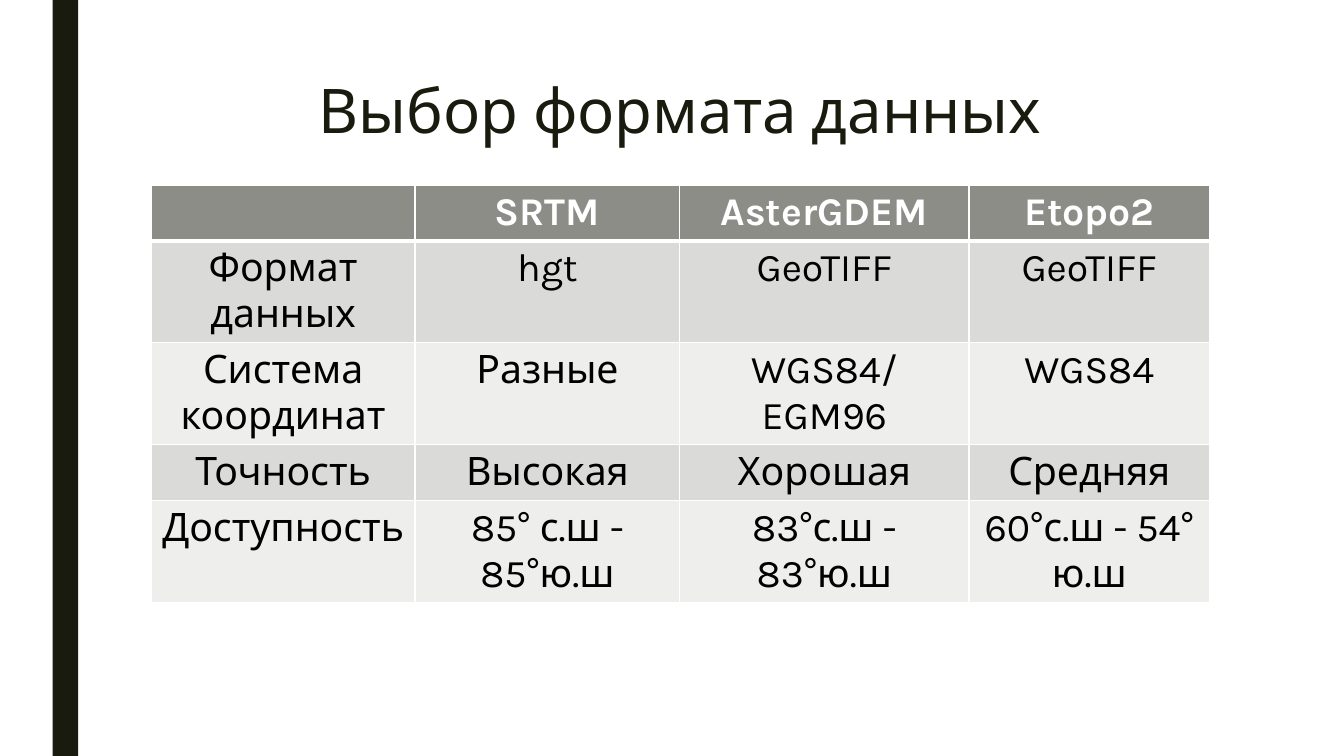
from dataclasses import dataclass

import lxml.etree
import pptx
import pptx.dml.color
import pptx.enum.shapes
import pptx.enum.text
import pptx.oxml.ns
import pptx.util
from pptx.util import Cm

FONT = "Karla"
DARK = "191B0E"
WHITE = "FFFFFF"
BLACK = "000000"
LEFT, WIDTH = Cm(3.81), Cm(26.67)
COLUMN_WIDTHS = (6.65, 6.67, 7.29, 6.06)
ONE_LINE, TWO_LINES = 1.4, 2.56


@dataclass
class FormatRow:
    texts: tuple[str, ...]
    height: float
    fill: str
    color: str = BLACK
    bold: bool = False
    bottom_border: float = 1


BAND_DARK, BAND_LIGHT = "DADBD9", "EEEEED"
FORMAT_ROWS = [
    FormatRow(("", "SRTM", "AsterGDEM", "Etopo2"), ONE_LINE, "8C8D86", WHITE, True, 3),
    FormatRow(("Формат данных", "hgt", "GeoTIFF", "GeoTIFF"), TWO_LINES, BAND_DARK),
    FormatRow(("Система координат", "Разные", "WGS84/EGM96", "WGS84"), TWO_LINES, BAND_LIGHT),
    FormatRow(("Точность", "Высокая", "Хорошая", "Средняя"), ONE_LINE, BAND_DARK),
    FormatRow(("Доступность", "85° с.ш - 85°ю.ш", "83°с.ш - 83°ю.ш", "60°с.ш - 54° ю.ш"),
              TWO_LINES, BAND_LIGHT),
]


def rgb(color: str) -> pptx.dml.color.RGBColor:
    return pptx.dml.color.RGBColor.from_string(color)


def format_text(paragraph, size: float, color: str, bold: bool = False) -> None:
    paragraph.alignment = pptx.enum.text.PP_ALIGN.CENTER
    font = paragraph.font
    for part in (font, *(run.font for run in paragraph.runs)):
        part.name = FONT
        part.size = pptx.util.Pt(size)
        part.bold = bold
        part.color.rgb = rgb(color)


def add_borders(cell, top: float, bottom: float) -> None:
    """Draw white cell borders; widths are in points."""
    properties = cell._tc.get_or_add_tcPr()
    qn = pptx.oxml.ns.qn
    widths = {"lnL": 1, "lnR": 1, "lnT": top, "lnB": bottom}
    for position, (side, width) in enumerate(widths.items()):
        line = lxml.etree.Element(qn(f"a:{side}"), w=str(pptx.util.Pt(width)))
        fill = lxml.etree.SubElement(line, qn("a:solidFill"))
        lxml.etree.SubElement(fill, qn("a:srgbClr"), val=WHITE)
        properties.insert(position, line)


def add_side_band(slide) -> None:
    band = slide.shapes.add_shape(pptx.enum.shapes.MSO_SHAPE.RECTANGLE,
                                  Cm(1.33), 0, Cm(0.64), Cm(19.05))
    band.shadow.inherit = False
    band.fill.solid()
    band.fill.fore_color.rgb = rgb(DARK)
    band.line.fill.background()


def set_title(slide) -> None:
    title = slide.shapes.title
    title.left, title.top, title.width, title.height = LEFT, Cm(1.9), WIDTH, Cm(2.31)
    frame = title.text_frame
    frame.text = "Выбор формата данных"
    frame.vertical_anchor = pptx.enum.text.MSO_ANCHOR.TOP
    frame.auto_size = pptx.enum.text.MSO_AUTO_SIZE.NONE
    frame.paragraphs[0].line_spacing = 0.89
    format_text(frame.paragraphs[0], 44, DARK)


def add_format_table(slide) -> None:
    height = Cm(sum(row.height for row in FORMAT_ROWS))
    table = slide.shapes.add_table(len(FORMAT_ROWS), len(COLUMN_WIDTHS),
                                   LEFT, Cm(4.66), WIDTH, height).table
    for column, width in zip(table.columns, COLUMN_WIDTHS):
        column.width = Cm(width)
    top_border = 1
    for table_row, row in zip(table.rows, FORMAT_ROWS):
        table_row.height = Cm(row.height)
        for cell, text in zip(table_row.cells, row.texts):
            cell.text_frame.text = text
            format_text(cell.text_frame.paragraphs[0], 28, row.color, row.bold)
            cell.fill.solid()
            cell.fill.fore_color.rgb = rgb(row.fill)
            add_borders(cell, top_border, row.bottom_border)
        top_border = row.bottom_border


def main() -> None:
    presentation = pptx.Presentation()
    presentation.slide_width, presentation.slide_height = Cm(33.87), Cm(19.05)
    slide = presentation.slides.add_slide(presentation.slide_layouts[5])
    add_side_band(slide)
    set_title(slide)
    add_format_table(slide)
    presentation.save("out.pptx")


if __name__ == "__main__":
    main()
